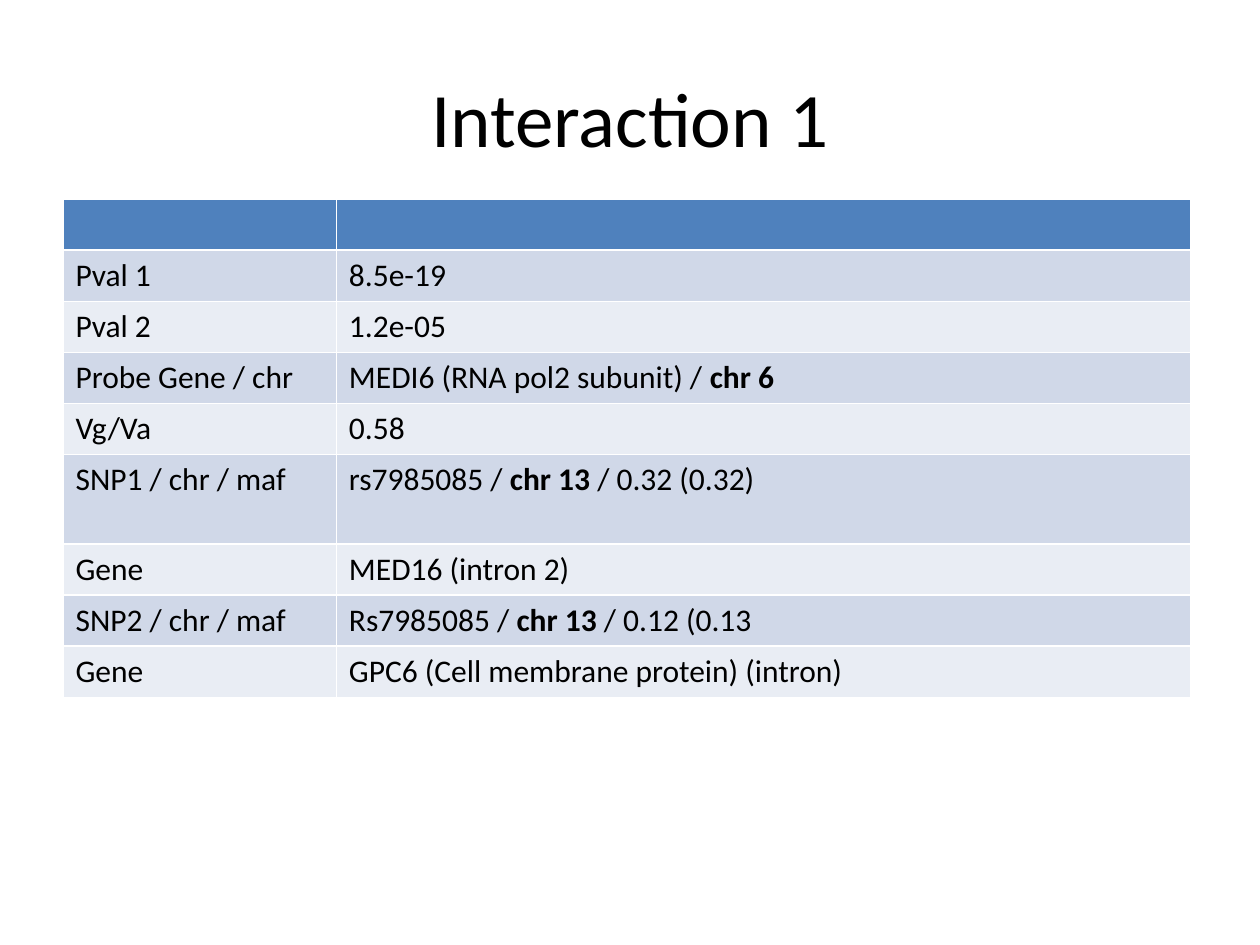
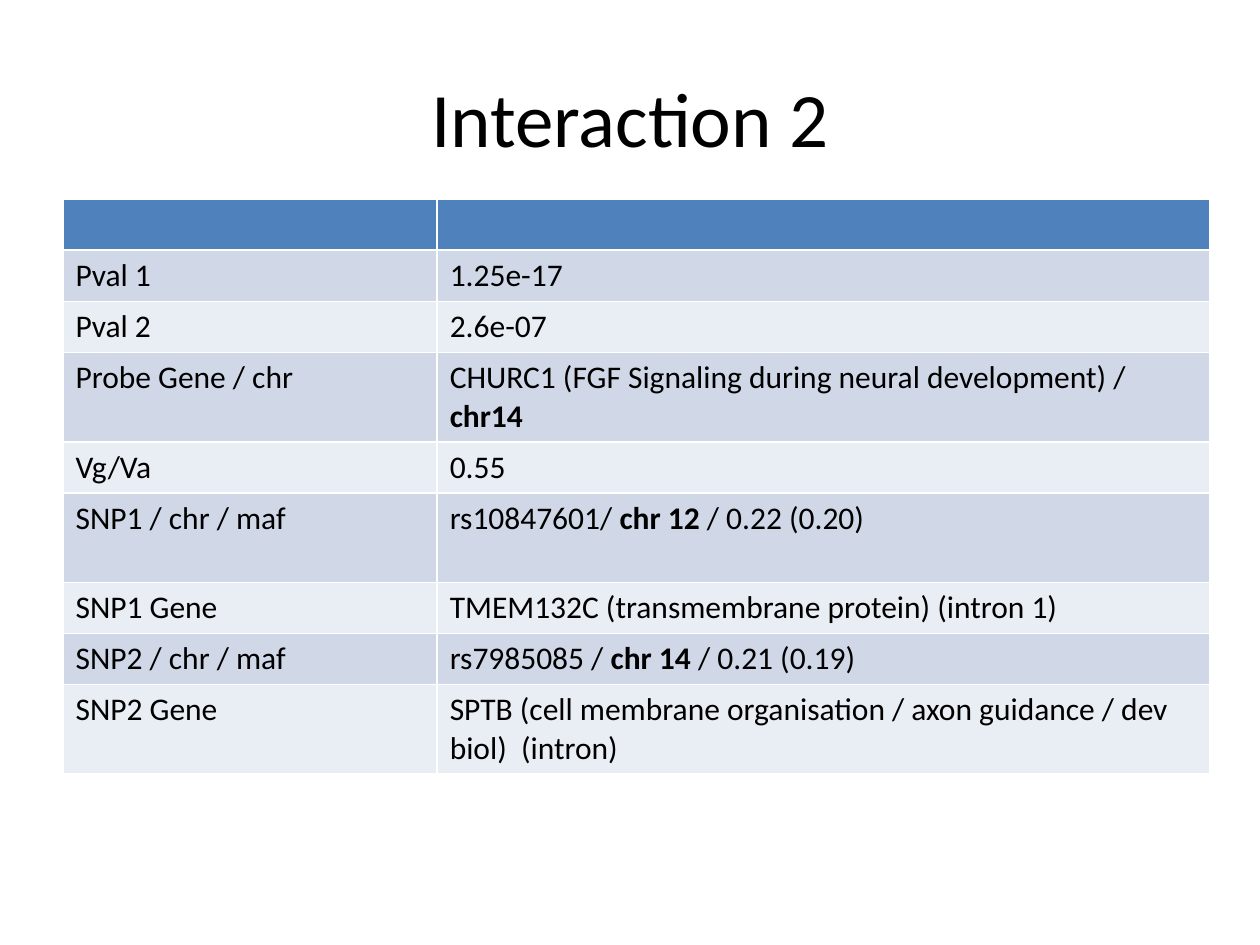
from pptx import Presentation
from pptx.dml.color import RGBColor
from pptx.enum.text import MSO_ANCHOR, PP_ALIGN
from pptx.util import Inches, Pt

FONT = "Calibri"
TEXT = "000000"
HEADER = "4F81BD"
BANDS = ("D0D8E8", "E9EDF4")
ROW_HEIGHT = 0.4
TALL_ROW_HEIGHT = 0.71

INTERACTIONS = [
    {
        "title": "Interaction 1",
        "columns": (2.17, 6.78),
        "tall_rows": {5},
        "rows": [
            ("Pval 1", "8.5e-19"),
            ("Pval 2", "1.2e-05"),
            ("Probe Gene / chr", "MEDI6 (RNA pol2 subunit) / *chr 6*"),
            ("Vg/Va", "0.58"),
            ("SNP1 / chr / maf", "rs7985085 / *chr 13 */ 0.32 (0.32)"),
            ("Gene", "MED16 (intron 2)"),
            ("SNP2 / chr / maf", "Rs7985085 / *chr 13* / 0.12 (0.13"),
            ("Gene", "GPC6 (Cell membrane protein) (intron)"),
        ],
    },
    {
        "title": "Interaction 2",
        "columns": (2.97, 6.13),
        "tall_rows": {3, 5, 8},
        "rows": [
            ("Pval 1", "1.25e-17"),
            ("Pval 2", "2.6e-07"),
            ("Probe Gene / chr", "CHURC1 (FGF Signaling during neural development) / *chr14*"),
            ("Vg/Va", "0.55"),
            ("SNP1 / chr / maf", "rs10847601/ *chr 12 */ 0.22 (0.20)"),
            ("SNP1 Gene", "TMEM132C (transmembrane protein) (intron 1)"),
            ("SNP2 / chr / maf", "rs7985085 / *chr 14* / 0.21 (0.19)"),
            ("SNP2 Gene", "SPTB (cell membrane organisation / axon guidance / dev biol)  (intron)"),
        ],
    },
]


def color(value):
    return RGBColor.from_string(value)


class Deck:
    """Holds the shared style and the current slide."""

    def __init__(self):
        self.presentation = Presentation()
        self.presentation.slide_width = Inches(10)
        self.presentation.slide_height = Inches(7.5)
        self.slide = None

    def style(self, paragraph, size):
        paragraph.font.name = FONT
        paragraph.font.size = Pt(size)
        paragraph.font.color.rgb = color(TEXT)

    def add_slide(self, text):
        self.slide = self.presentation.slides.add_slide(self.presentation.slide_layouts[5])
        title = self.slide.shapes.title
        title.left, title.top = Inches(0.5), Inches(0.3)
        title.width, title.height = Inches(9), Inches(1.25)
        title.text_frame.vertical_anchor = MSO_ANCHOR.MIDDLE
        title.text_frame.text = text
        paragraph = title.text_frame.paragraphs[0]
        paragraph.alignment = PP_ALIGN.CENTER
        self.style(paragraph, 44)

    def fill_cell(self, cell, text, fill):
        cell.fill.solid()
        cell.fill.fore_color.rgb = color(fill)
        paragraph = cell.text_frame.paragraphs[0]
        self.style(paragraph, 18)
        for index, part in enumerate(text.split("*")):
            if part:
                run = paragraph.add_run()
                run.text = part
                if index % 2:
                    run.font.bold = True

    def add_table(self, rows, columns, tall_rows):
        rows = [("", "")] + rows
        heights = [TALL_ROW_HEIGHT if index in tall_rows else ROW_HEIGHT
                   for index in range(len(rows))]
        table = self.slide.shapes.add_table(
            len(rows), len(columns), Inches(0.5), Inches(1.58),
            Inches(sum(columns)), Inches(sum(heights))).table
        for column, width in zip(table.columns, columns):
            column.width = Inches(width)
        for index, (row, height, texts) in enumerate(zip(table.rows, heights, rows)):
            row.height = Inches(height)
            fill = BANDS[(index - 1) % 2] if index else HEADER
            for cell, text in zip(row.cells, texts):
                self.fill_cell(cell, text, fill)


def main():
    deck = Deck()
    for interaction in INTERACTIONS:
        deck.add_slide(interaction["title"])
        deck.add_table(interaction["rows"], interaction["columns"], interaction["tall_rows"])
    deck.presentation.save("out.pptx")


if __name__ == "__main__":
    main()
